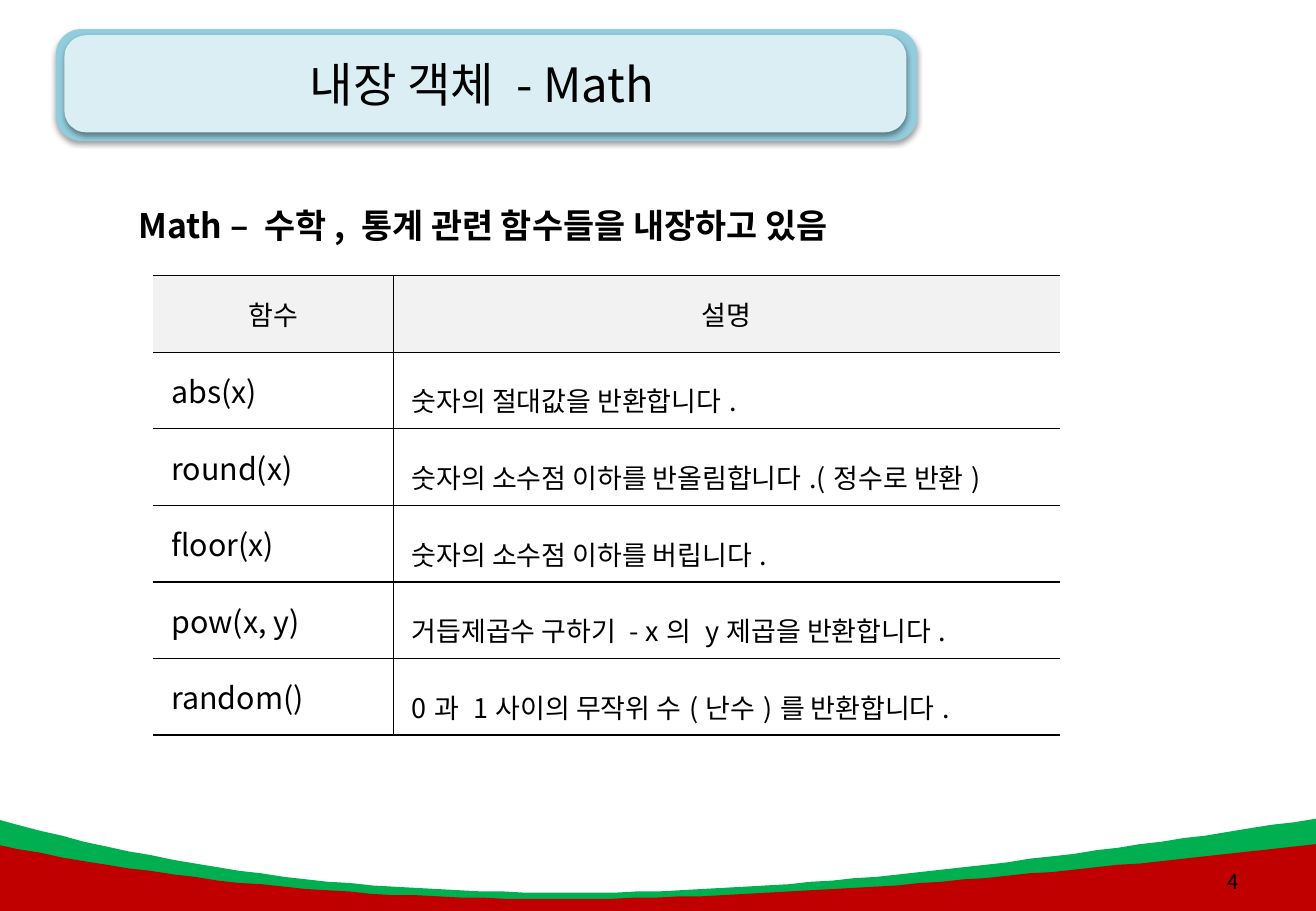
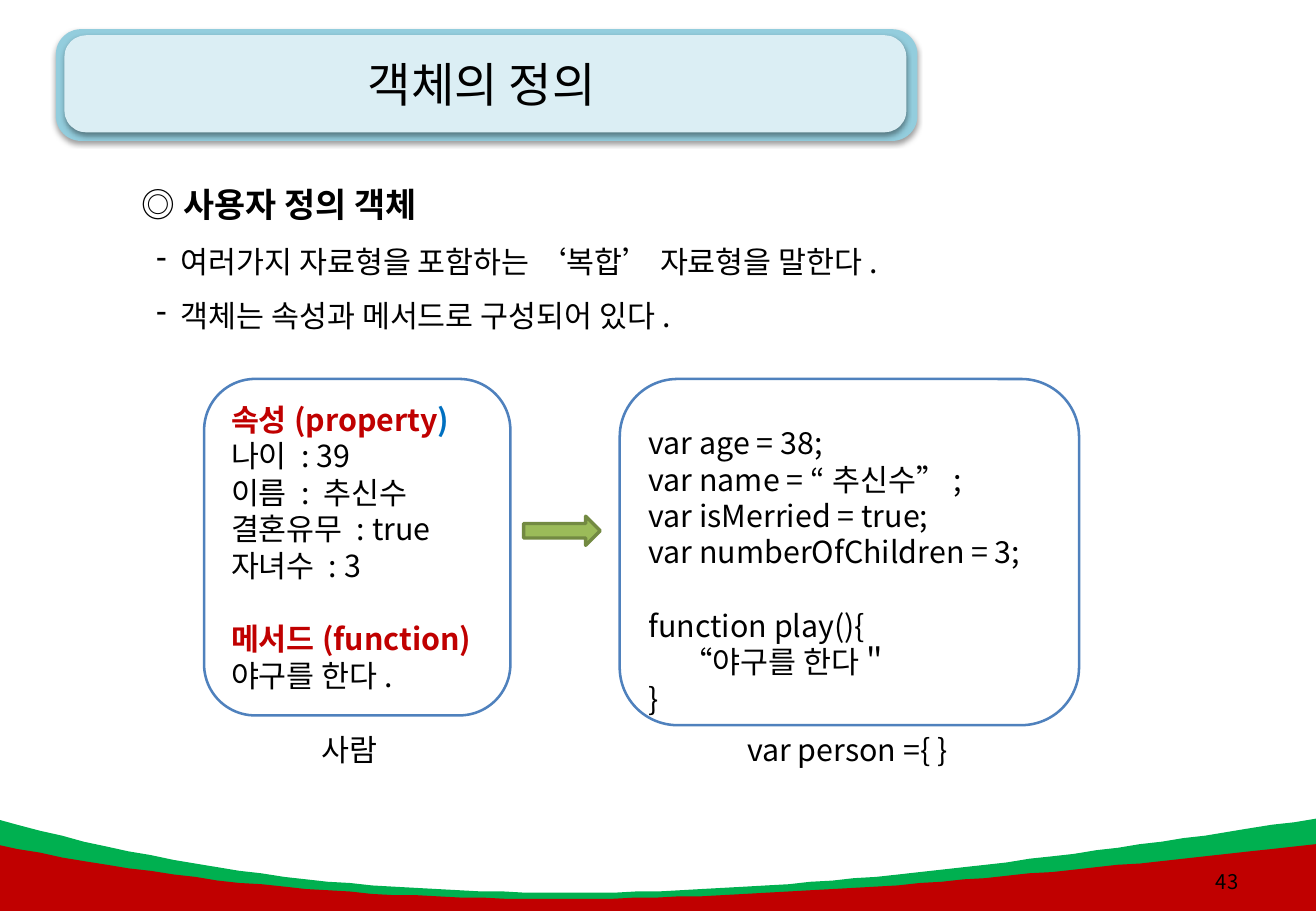
from lxml import etree
from pptx import Presentation
from pptx import util as u
from pptx.dml.color import RGBColor
from pptx.enum import shapes, text
from pptx.oxml.ns import qn

PX = 9144
FONT = "Noto Sans CJK KR"
BLACK, WHITE, RED, BLUE = "000000", "FFFFFF", "C00000", "0070C0"
GREEN, OUTLINE, HEADER = "00B050", "4F81BD", "F2F2F2"
ROUNDED = shapes.MSO_SHAPE.ROUNDED_RECTANGLE
MIDDLE, CENTER = text.MSO_ANCHOR.MIDDLE, text.PP_ALIGN.CENTER

WAVES = [
    (GREEN, [(-4, 674), (364, 778), (719, 729), (1083, 674)], 750),
    (RED, [(-4, 695), (364, 772), (719, 735), (1083, 695)], 751),
]
TITLE_FRAMES = [((46, 24, 709, 92), "93CDDD"), ((53, 29, 693, 80), "DBEEF4")]

FUNCTIONS = [
    ("함수", "설명"),
    ("abs(x)", "숫자의 절대값을 반환합니다."),
    ("round(x)", "숫자의 소수점 이하를 반올림합니다.(정수로 반환)"),
    ("floor(x)", "숫자의 소수점 이하를 버립니다."),
    ("pow(x, y)", "거듭제곱수 구하기 - x의 y제곱을 반환합니다."),
    ("random()", "0과 1사이의 무작위 수(난수)를 반환합니다."),
]
TABLE_LEFT, TABLE_TOP, ROW_HEIGHT = 126, 227, 63
COLUMN_WIDTHS = [198, 548]

DEFINITIONS = ["여러가지 자료형을 포함하는 ‘복합’ 자료형을 말한다.", "객체는 속성과 메서드로 구성되어 있다."]
PERSON = [
    [("속성(property", {"color": RED, "bold": True}), (")", {"color": BLUE, "bold": True})],
    "나이 : 39",
    "이름 : 추신수",
    "결혼유무 : true",
    "자녀수 : 3",
    [("메서드(function)", {"color": RED, "bold": True})],
    "야구를 한다.",
]
CODE = [
    "var age = 38;",
    "var name = “추신수”;",
    "var isMerried = true;",
    "var numberOfChildren = 3;",
    "function play(){",
    "     “야구를 한다＂",
    "}",
]
PANELS = [
    ((168, 312, 252, 277), PERSON, 5, 5, "사람", (255, 597, 100, 40)),
    ((510, 312, 378, 285), CODE, 4, 35, "var person ={ }", (605, 597, 189, 40)),
]


def px(*values):
    return [u.Emu(value * PX) for value in values]


def rgb(color):
    return RGBColor.from_string(color)


def paint(shape, fill, line=None, width=1):
    shape.shadow.inherit = False
    shape.fill.solid()
    shape.fill.fore_color.rgb = rgb(fill)
    if line:
        shape.line.color.rgb = rgb(line)
        shape.line.width = u.Pt(width)
    else:
        shape.line.fill.background()


def add_preset(slide, kind, box, fill, **line):
    shape = slide.shapes.add_shape(kind, *px(*box))
    paint(shape, fill, **line)
    return shape


def add_shadow(shape):
    effects = shape._element.spPr.find(qn("a:effectLst"))
    shadow = etree.SubElement(effects, qn("a:outerShdw"), blurRad="40000", dist="20000",
                              dir="5400000", rotWithShape="0")
    color = etree.SubElement(shadow, qn("a:srgbClr"), val=BLACK)
    etree.SubElement(color, qn("a:alpha"), val="38000")


def write(frame, content, first=False, size=18, color=BLACK, bold=False, align=text.PP_ALIGN.LEFT,
          spacing=None, before=0, indent=0, bullet=None, hanging=0):
    paragraph = frame.paragraphs[0] if first else frame.add_paragraph()
    properties = paragraph._p.get_or_add_pPr()
    properties.set("marL", str((indent + hanging) * PX))
    properties.set("indent", str(-hanging * PX))
    paragraph.alignment = align
    if spacing:
        paragraph.line_spacing = spacing
    if before:
        paragraph.space_before = u.Pt(before)
    if bullet:
        etree.SubElement(properties, qn("a:buChar"), char=bullet)
    for words, changes in [(content, {})] if isinstance(content, str) else content:
        style = {"size": size, "color": color, "bold": bold, **changes}
        run = paragraph.add_run()
        run.text = words
        run.font.name = FONT
        run.font.size = u.Pt(style["size"])
        run.font.bold = style["bold"]
        run.font.color.rgb = rgb(style["color"])
        etree.SubElement(run._r.get_or_add_rPr(), qn("a:ea"), typeface=FONT)


def add_text(slide, box, content, anchor=text.MSO_ANCHOR.TOP, **style):
    frame = slide.shapes.add_textbox(*px(*box)).text_frame
    frame.word_wrap = True
    frame.vertical_anchor = anchor
    write(frame, content, first=True, **style)
    return frame


def add_wave(slide, color, curve, bottom, steps=60):
    points = []
    for step in range(steps + 1):
        t = step / steps
        weights = [(1 - t) ** 3, 3 * t * (1 - t) ** 2, 3 * t * t * (1 - t), t ** 3]
        points.append([sum(w * p[axis] for w, p in zip(weights, curve)) for axis in (0, 1)])
    points += [(curve[-1][0], bottom), (curve[0][0], bottom)]
    builder = slide.shapes.build_freeform(*points[0], scale=PX)
    builder.add_line_segments(points[1:], close=True)
    paint(builder.convert_to_shape(), color)


def add_page(presentation, title, number):
    slide = presentation.slides.add_slide(presentation.slide_layouts[6])
    add_wave(slide, *WAVES[0])
    for box, color in TITLE_FRAMES:
        frame = add_preset(slide, ROUNDED, box, color)
        frame.adjustments[0] = 0.225
        add_shadow(frame)
    add_wave(slide, *WAVES[1])
    add_text(slide, (46, 22, 701, 94), title, anchor=MIDDLE, size=28, align=CENTER)
    add_text(slide, (968, 706, 61, 40), number, anchor=MIDDLE, size=12, align=text.PP_ALIGN.RIGHT)
    return slide


def add_borders(cell, sides):
    properties = cell._tc.get_or_add_tcPr()
    for side in ("L", "R", "T", "B"):
        line = etree.SubElement(properties, qn("a:ln" + side), w="12700")
        if side in sides:
            fill = etree.SubElement(line, qn("a:solidFill"))
            etree.SubElement(fill, qn("a:srgbClr"), val=BLACK)
        else:
            etree.SubElement(line, qn("a:noFill"))


def add_function_table(slide):
    rows, columns = len(FUNCTIONS), len(COLUMN_WIDTHS)
    box = px(TABLE_LEFT, TABLE_TOP, sum(COLUMN_WIDTHS), rows * ROW_HEIGHT)
    table = slide.shapes.add_table(rows, columns, *box).table
    for column, width in zip(table.columns, px(*COLUMN_WIDTHS)):
        column.width = width
    for row, words in enumerate(FUNCTIONS):
        for column, content in enumerate(words):
            cell = table.cell(row, column)
            cell.vertical_anchor = MIDDLE
            add_borders(cell, "LTB" if column else "RTB")
            if row == 0:
                cell.fill.solid()
                cell.fill.fore_color.rgb = rgb(HEADER)
                style = {"size": 16, "align": CENTER}
            else:
                cell.fill.background()
                style = {"size": 16, "spacing": 1.5} if column else {"size": 18}
                style["indent"] = 5
            write(cell.text_frame, content, first=True, **style)


def add_panel(slide, box, lines, gap_at, top_margin, caption, caption_box):
    panel = add_preset(slide, ROUNDED, box, WHITE, line=OUTLINE, width=1.5)
    frame = panel.text_frame
    frame.word_wrap = True
    frame.vertical_anchor = MIDDLE
    frame.margin_top = px(top_margin)[0]
    for index, line in enumerate(lines):
        write(frame, line, first=index == 0, before=22 if index == gap_at else 0)
    add_text(slide, caption_box, caption)


def main():
    presentation = Presentation()
    presentation.slide_width, presentation.slide_height = px(1083, 750)

    slide = add_page(presentation, "내장 객체 - Math", "4")
    add_text(slide, (93, 147, 891, 54), "Math – 수학, 통계 관련 함수들을 내장하고 있음",
             size=20, bold=True, spacing=1.5, indent=11)
    add_function_table(slide)

    slide = add_page(presentation, "객체의 정의", "43")
    heading = [("◎ ", {}), ("사용자 정의 객체", {"bold": True})]
    body = add_text(slide, (101, 130, 827, 157), heading, size=20, spacing=1.5, indent=6)
    for definition in DEFINITIONS:
        write(body, definition, spacing=1.5, indent=18, bullet="-", hanging=20)
    for panel in PANELS:
        add_panel(slide, *panel)
    add_preset(slide, shapes.MSO_SHAPE.RIGHT_ARROW, (431, 425, 63, 24), "9BBB59",
               line="738A42", width=2)

    presentation.save("out.pptx")


if __name__ == "__main__":
    main()
